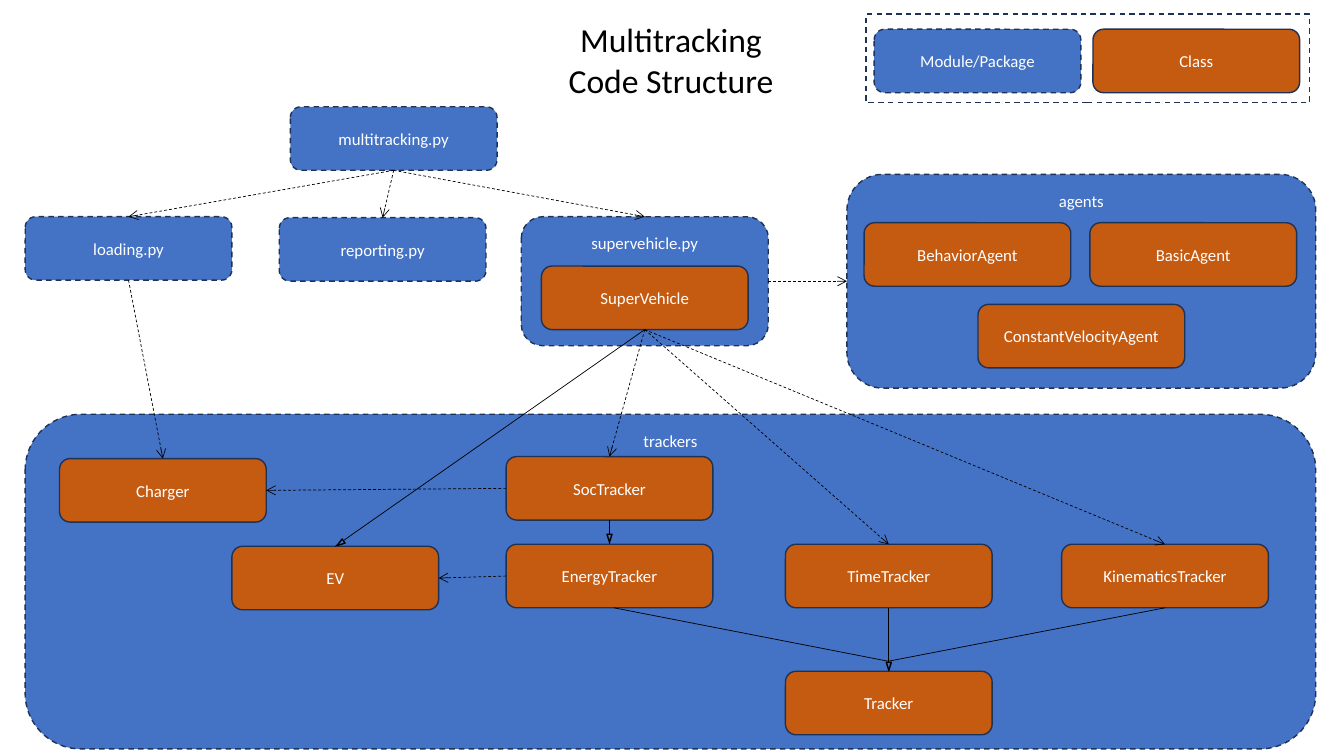
from pptx import Presentation
from pptx.dml.color import RGBColor
from pptx.enum.dml import MSO_LINE
from pptx.enum.shapes import MSO_CONNECTOR, MSO_SHAPE
from pptx.enum.text import MSO_ANCHOR, PP_ALIGN
from pptx.oxml.ns import qn
from pptx.util import Pt
from lxml.etree import SubElement

PX = 9144  # 100 px to the inch
BOX_W, BOX_H = 205, 63
LABEL_DROP = 16
CORNER_INSET = 0.0488  # text inset of a rounded corner, as a share of the height

BLUE = RGBColor(0x44, 0x72, 0xC4)
ORANGE = RGBColor(0xC5, 0x5A, 0x11)
NAVY = RGBColor(0x1E, 0x32, 0x56)
WHITE = RGBColor(0xFF, 0xFF, 0xFF)
BLACK = RGBColor(0, 0, 0)

TOP, LEFT, BOTTOM, RIGHT = range(4)  # connection sites


def emu(*lengths):
    return [round(n * PX) for n in lengths]


def style_text(tf, text, size, color):
    tf.text = text
    for p in tf.paragraphs:
        p.alignment = PP_ALIGN.CENTER
        p.font.name = "Calibri"
        p.font.size = Pt(size)
        p.font.color.rgb = color


def add_outlined(shapes, kind, box, fill=None, line=NAVY, dashed=False):
    sp = shapes.add_shape(kind, *emu(*box))
    sp.shadow.inherit = False
    if fill is None:
        sp.fill.background()
    else:
        sp.fill.solid()
        sp.fill.fore_color.rgb = fill
    sp.line.color.rgb = line
    sp.line.width = Pt(1)
    if dashed:
        sp.line.dash_style = MSO_LINE.DASH
    return sp


def add_box(shapes, text, box, fill, dashed):
    sp = add_outlined(shapes, MSO_SHAPE.ROUNDED_RECTANGLE, box, fill, dashed=dashed)
    tf = sp.text_frame
    tf.word_wrap = True
    tf.vertical_anchor = MSO_ANCHOR.MIDDLE
    style_text(tf, text, 12, WHITE)
    return sp


def add_module(shapes, text, x, y, w=BOX_W, h=BOX_H):
    return add_box(shapes, text, (x, y, w, h), BLUE, True)


def add_class(shapes, text, x, y):
    return add_box(shapes, text, (x, y, BOX_W, BOX_H), ORANGE, False)


def add_package(shapes, text, box, classes):
    """Draw a module labelled at its top, with classes at offsets inside it."""
    x, y, w, h = box
    package = add_module(shapes, text, *box)
    tf = package.text_frame
    tf.vertical_anchor = MSO_ANCHOR.TOP
    tf.margin_top = max(0, round((LABEL_DROP - CORNER_INSET * h) * PX))
    nodes = {name: add_class(shapes, name, x + dx, y + dy)
             for name, (dx, dy) in classes.items()}
    return {text: package, **nodes}


def add_line(shapes, start, end, dashed=False):
    """Link two ends, each a (shape, site) pair or an (x, y) point."""
    points = [(0, 0) if hasattr(a, "text_frame") else emu(a, b)
              for a, b in (start, end)]
    line = shapes.add_connector(MSO_CONNECTOR.STRAIGHT, *points[0], *points[1])
    for (a, b), connect in ((start, line.begin_connect), (end, line.end_connect)):
        if hasattr(a, "text_frame"):
            connect(a, b)
    line.line.color.rgb = BLACK
    line.line.width = Pt(0.5)
    if dashed:
        line.line.dash_style = MSO_LINE.DASH
        SubElement(line.line._get_or_add_ln(), qn("a:tailEnd"), type="arrow")
    SubElement(line._element.spPr, qn("a:effectLst"))


def add_title(shapes, box):
    tf = shapes.add_textbox(*emu(*box)).text_frame
    tf.word_wrap = False
    style_text(tf, "Multitracking\nCode Structure", 24, BLACK)


def add_legend(shapes, box):
    x, y = box[:2]
    add_outlined(shapes, MSO_SHAPE.RECTANGLE, box, dashed=True)
    add_module(shapes, "Module/Package", x + 8, y + 15)
    add_class(shapes, "Class", x + 225, y + 15)


def add_modules(shapes):
    nodes = add_package(shapes, "trackers", (25, 411, 1280, 332), {
        "Charger": (34, 44),
        "SocTracker": (477, 42),
        "EV": (205, 131),
        "EnergyTracker": (477, 129),
        "TimeTracker": (754, 129),
        "KinematicsTracker": (1028, 129),
        "Tracker": (754, 255),
    })
    for name, x, y in (("multitracking.py", 288, 106),
                       ("loading.py", 25, 215),
                       ("reporting.py", 277, 216)):
        nodes[name] = add_module(shapes, name, x, y)
    nodes |= add_package(shapes.add_group_shape().shapes, "supervehicle.py",
                         (517, 215, 245, 128), {"SuperVehicle": (20, 49)})
    nodes |= add_package(shapes.add_group_shape().shapes, "agents",
                         (840, 173, 465, 212), {
        "BehaviorAgent": (17, 48),
        "BasicAgent": (241, 48),
        "ConstantVelocityAgent": (130, 129),
    })
    return nodes


def add_uses(shapes, nodes):
    """Draw the dashed arrows from each part to those it uses."""
    for user, exit_site, used, entry_site in (
        ("multitracking.py", BOTTOM, "loading.py", TOP),
        ("multitracking.py", BOTTOM, "reporting.py", TOP),
        ("multitracking.py", BOTTOM, "supervehicle.py", TOP),
        ("loading.py", BOTTOM, "Charger", TOP),
        ("supervehicle.py", RIGHT, "agents", LEFT),
        ("SuperVehicle", BOTTOM, "SocTracker", TOP),
        ("SuperVehicle", BOTTOM, "TimeTracker", TOP),
        ("SuperVehicle", BOTTOM, "KinematicsTracker", TOP),
        ("SocTracker", LEFT, "Charger", RIGHT),
        ("EnergyTracker", LEFT, "EV", RIGHT),
    ):
        add_line(shapes, (nodes[user], exit_site), (nodes[used], entry_site), True)


def add_inheritance(shapes, nodes):
    """Draw the solid lines to base classes, with their triangle heads."""
    for child, parent in (("SuperVehicle", "EV"), ("SocTracker", "EnergyTracker"),
                          ("TimeTracker", "Tracker")):
        add_line(shapes, (nodes[child], BOTTOM), (nodes[parent], TOP))
    junction = (881, 656)
    add_line(shapes, (nodes["KinematicsTracker"], BOTTOM), junction)
    add_line(shapes, (609, 603), junction)
    for x, y, angle in ((879, 657, 180), (602, 530, 180), (335, 535, 235.7)):
        head = add_outlined(shapes, MSO_SHAPE.ISOSCELES_TRIANGLE, (x, y, 5, 8),
                            BLUE, BLACK)
        head.rotation = angle


def add_code_structure(prs):
    shapes = prs.slides.add_slide(prs.slide_layouts[6]).shapes
    nodes = add_modules(shapes)
    add_inheritance(shapes, nodes)
    add_uses(shapes, nodes)
    add_legend(shapes, (859, 14, 440, 88))
    add_title(shapes, (553, 14, 225, 91))


def main():
    prs = Presentation()
    prs.slide_width, prs.slide_height = emu(1333, 750)
    add_code_structure(prs)
    prs.save("out.pptx")


if __name__ == "__main__":
    main()
